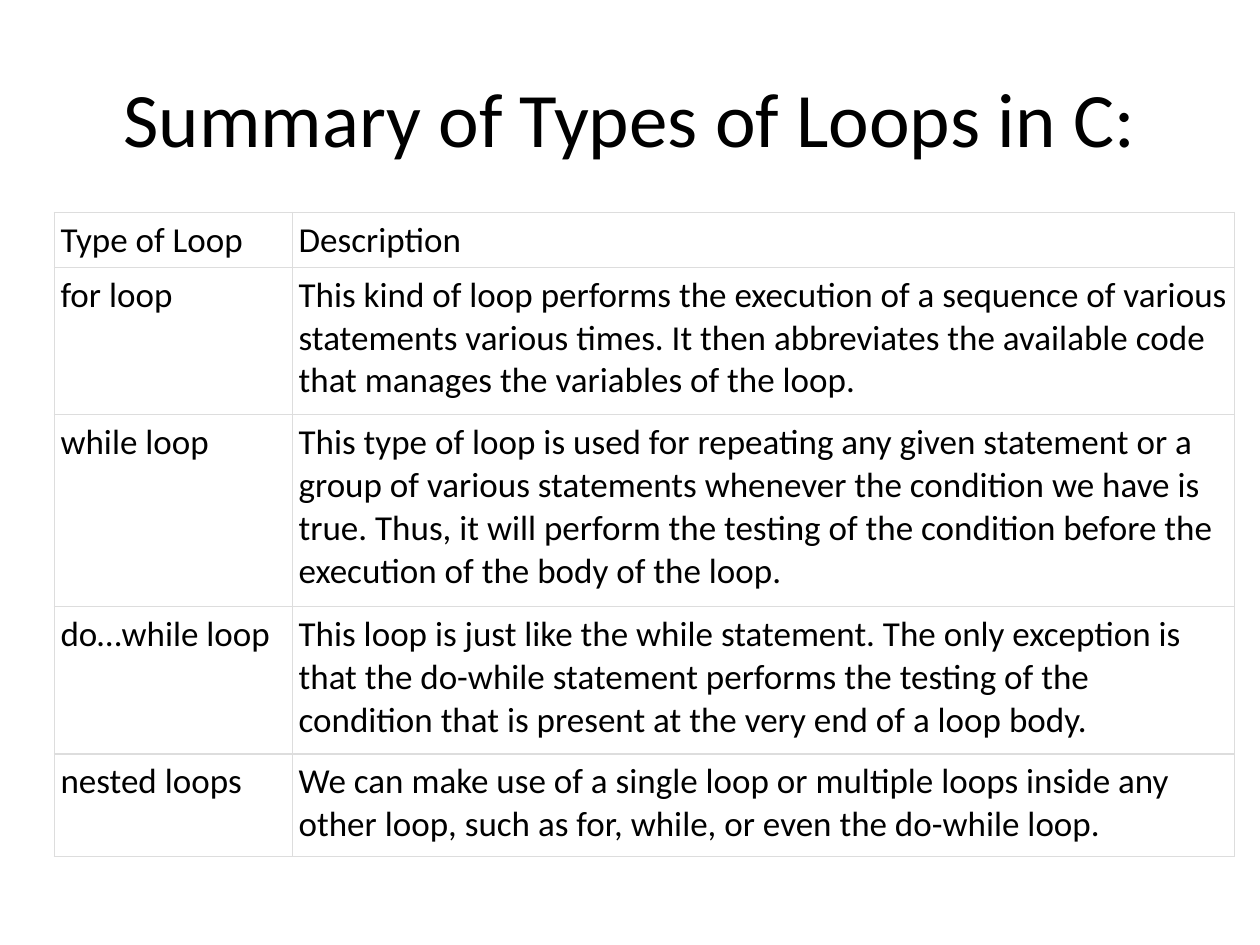
from lxml.etree import SubElement
from pptx import Presentation
from pptx.dml.color import RGBColor
from pptx.enum.text import MSO_ANCHOR as Anchor, PP_ALIGN as Align
from pptx.oxml.ns import qn
from pptx.util import Cm, Pt

TITLE = "Summary of Types of Loops in C:"
ROWS = [
    ("Type of Loop", "Description"),
    ("for loop",
     "This kind of loop performs the execution of a sequence of various statements "
     "various times. It then abbreviates the available code that manages the "
     "variables of the loop."),
    ("while loop",
     "This type of loop is used for repeating any given statement or a group of "
     "various statements whenever the condition we have is true. Thus, it will "
     "perform the testing of the condition before the execution of the body of the loop."),
    ("do…while loop",
     "This loop is just like the while statement. The only exception is that the "
     "do-while statement performs the testing of the condition that is present at "
     "the very end of a loop body."),
    ("nested loops",
     "We can make use of a single loop or multiple loops inside any other loop, "
     "such as for, while, or even the do-while loop."),
]
COL_WIDTHS = (4.8, 19)
ROW_HEIGHTS = (1.11, 2.97, 3.87, 2.97, 2.06)
CELL_MARGIN = Cm(0.13)

BLACK = RGBColor(0, 0, 0)
WHITE = RGBColor(0xFF, 0xFF, 0xFF)
BORDER = RGBColor(0xDD, 0xDD, 0xDD)


def write(tf, text, size=20, align=Align.LEFT):
    p = tf.paragraphs[0]
    p.alignment = align
    r = p.add_run()
    r.text = text
    r.font.name = "Calibri"
    r.font.size = Pt(size)
    r.font.color.rgb = BLACK


def add_borders(cell):
    tc_pr = cell._tc.get_or_add_tcPr()
    for side in ("a:lnL", "a:lnR", "a:lnT", "a:lnB"):
        ln = SubElement(tc_pr, qn(side), w=str(Pt(0.75)))
        fill = SubElement(ln, qn("a:solidFill"))
        SubElement(fill, qn("a:srgbClr"), val=str(BORDER))


def add_title(s):
    tf = s.shapes.add_textbox(Cm(1.27), Cm(0.76), Cm(22.86), Cm(3.18)).text_frame
    tf.word_wrap = True
    tf.vertical_anchor = Anchor.MIDDLE
    write(tf, TITLE, size=44, align=Align.CENTER)


def add_loop_table(s):
    table = s.shapes.add_table(len(ROWS), len(COL_WIDTHS), Cm(1.09), Cm(4.28),
                               Cm(sum(COL_WIDTHS)), Cm(sum(ROW_HEIGHTS))).table
    for col, width in zip(table.columns, COL_WIDTHS):
        col.width = Cm(width)
    for row, height, texts in zip(table.rows, ROW_HEIGHTS, ROWS):
        row.height = Cm(height)
        for cell, text in zip(row.cells, texts):
            cell.margin_left = cell.margin_right = CELL_MARGIN
            cell.margin_top = cell.margin_bottom = CELL_MARGIN
            add_borders(cell)
            cell.fill.solid()
            cell.fill.fore_color.rgb = WHITE
            write(cell.text_frame, text)
            cell.text_frame.paragraphs[0].runs[0].font.bold = False


def main():
    prs = Presentation()
    prs.slide_width, prs.slide_height = Cm(25.4), Cm(19.05)
    s = prs.slides.add_slide(prs.slide_layouts[6])
    add_title(s)
    add_loop_table(s)
    prs.save("out.pptx")


if __name__ == "__main__":
    main()
